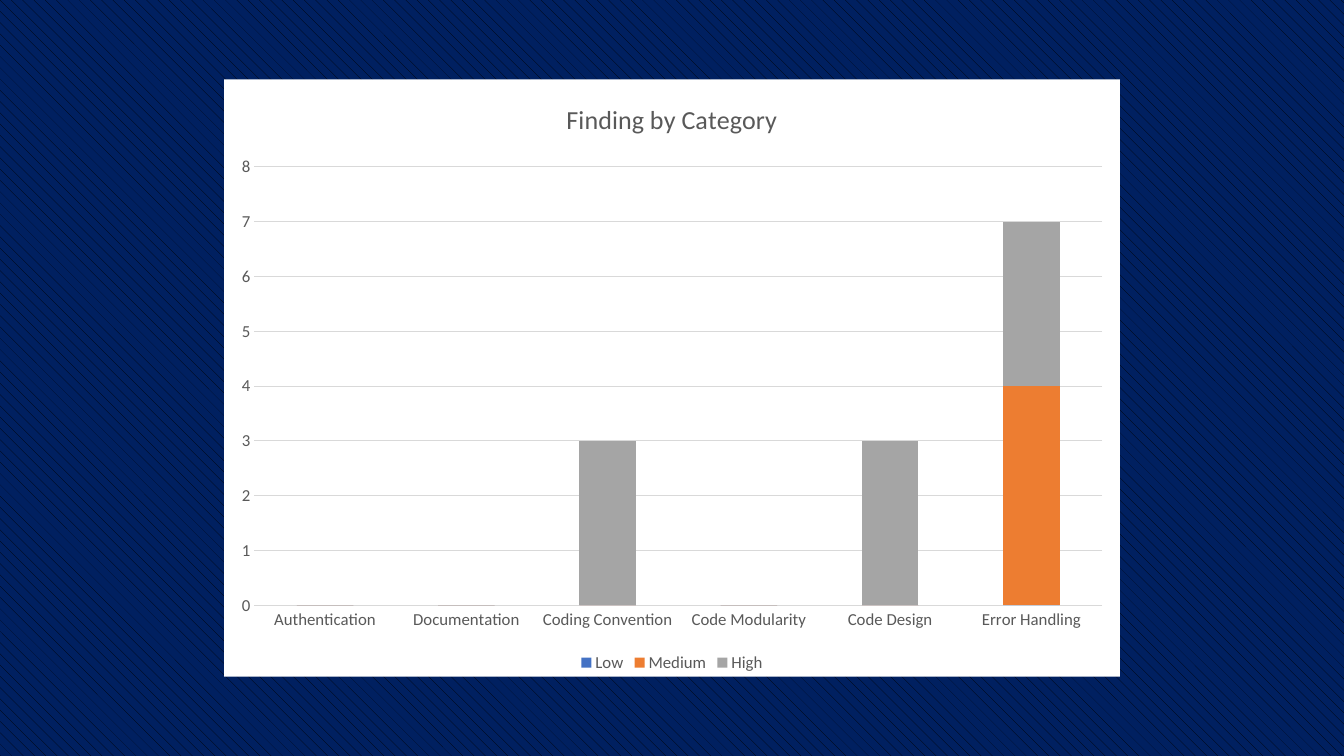
from lxml import etree
from pptx import Presentation
from pptx.chart.data import CategoryChartData
from pptx.dml.color import RGBColor
from pptx.enum.chart import XL_CHART_TYPE, XL_LEGEND_POSITION, XL_TICK_MARK
from pptx.enum.dml import MSO_PATTERN
from pptx.util import Cm, Pt

STACKED = XL_CHART_TYPE.COLUMN_STACKED
BOTTOM = XL_LEGEND_POSITION.BOTTOM
NO_TICK = XL_TICK_MARK.NONE
SHINGLE = MSO_PATTERN.SHINGLE

FONT = "Calibri"
COLORS = {
    "navy": "002060", "black": "000000", "panel": "FFFFFF",
    "text": "595959", "grid": "D9D9D9",
    "Low": "4472C4", "Medium": "ED7D31", "High": "A5A5A5",
}
CATEGORIES = ["Authentication", "Documentation", "Coding Convention",
              "Code Modularity", "Code Design", "Error Handling"]
FINDINGS = {
    "Low": [0, 0, 0, 0, 0, 0],
    "Medium": [0, 0, 0, 0, 0, 4],
    "High": [0, 0, 3, 0, 3, 3],
}


def rgb(name):
    """Return the named palette colour."""
    return RGBColor.from_string(COLORS[name])


def style_font(font, size):
    """Apply the chart's regular grey lettering."""
    font.name, font.size, font.bold = FONT, Pt(size), False
    font.color.rgb = rgb("text")


def paint_background(s):
    """Cover the slide with the shingle pattern."""
    fill = s.background.fill
    fill.patterned()
    fill.pattern = SHINGLE
    fill.fore_color.rgb = rgb("black")
    fill.back_color.rgb = rgb("navy")


def fill_panel(chart):
    """Give the chart area a plain fill without an outline."""
    a = "{http://schemas.openxmlformats.org/drawingml/2006/main}"
    c = "{http://schemas.openxmlformats.org/drawingml/2006/chart}"
    sp_pr = etree.Element(c + "spPr")
    solid = etree.SubElement(sp_pr, a + "solidFill")
    etree.SubElement(solid, a + "srgbClr", val=COLORS["panel"])
    etree.SubElement(etree.SubElement(sp_pr, a + "ln"), a + "noFill")
    chart.element.find(c + "chart").addnext(sp_pr)


def add_findings_chart(s, left, top, width, height):
    """Draw the stacked findings chart in the given box."""
    data = CategoryChartData(number_format="General")
    data.categories = CATEGORIES
    for name, values in FINDINGS.items():
        data.add_series(name, values)
    chart = s.shapes.add_chart(STACKED, left, top, width, height, data).chart
    style_font(chart.font, 12)
    fill_panel(chart)

    chart.has_title = True
    p = chart.chart_title.text_frame.paragraphs[0]
    r = p.add_run()
    r.text = "Finding by Category"
    style_font(r.font, 18.6)

    chart.has_legend = True
    chart.legend.position = BOTTOM
    chart.legend.include_in_layout = False
    style_font(chart.legend.font, 12)

    for axis in (chart.category_axis, chart.value_axis):
        axis.major_tick_mark = axis.minor_tick_mark = NO_TICK
        axis.format.line.fill.background()
        style_font(axis.tick_labels.font, 12)
    axis = chart.value_axis
    axis.minimum_scale, axis.maximum_scale, axis.major_unit = 0, 8, 1
    axis.has_major_gridlines = True
    line = axis.major_gridlines.format.line
    line.color.rgb, line.width = rgb("grid"), Pt(0.75)

    plot = chart.plots[0]
    plot.gap_width, plot.overlap, plot.vary_by_categories = 150, 100, False
    for series in plot.series:
        series.format.fill.solid()
        series.format.fill.fore_color.rgb = rgb(series.name)


prs = Presentation()
prs.slide_width, prs.slide_height = Cm(33.87), Cm(19.05)
s = prs.slides.add_slide(prs.slide_layouts[6])
paint_background(s)
width, height = Cm(22.58), Cm(15.05)
add_findings_chart(s, (prs.slide_width - width) // 2, Cm(2), width, height)
prs.save("out.pptx")
